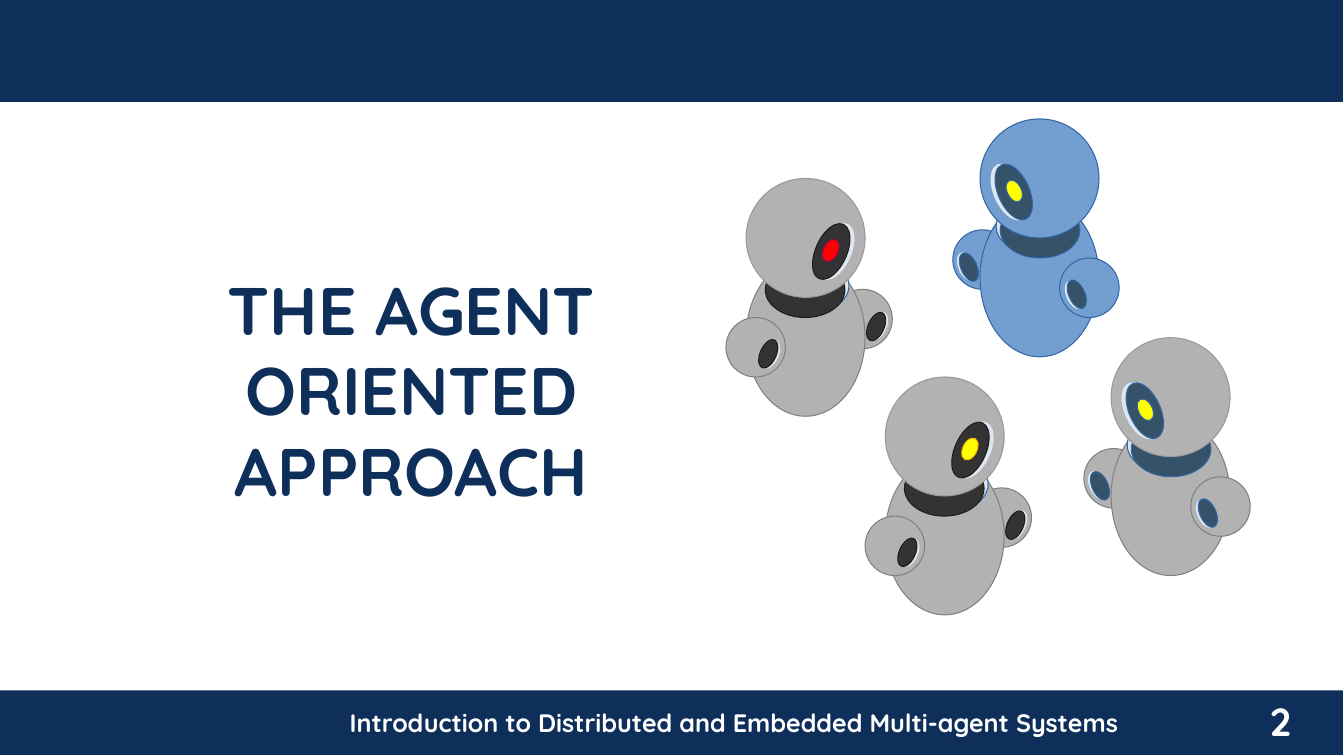
import pptx
import pptx.util
import pptx.dml.color
import pptx.enum.shapes
import pptx.enum.text

Inches = pptx.util.Inches
Pt = pptx.util.Pt
SHAPES = pptx.enum.shapes.MSO_SHAPE

COLORS = {
    "navy": "0F2F5B", "white": "FFFFFF", "glint": "DEE6EF",
    "blue": "729FCF", "blue edge": "3465A4", "slate": "355269",
    "grey": "B2B2B2", "grey edge": "808080", "grey head edge": "999999",
    "black": "333333", "black edge": "1C1C1C",
    "yellow": "FFFF00", "amber": "FFBF00", "red": "FF0000", "crimson": "BF0041",
}


def paint(shape, fill, edge=None):
    shape.shadow.inherit = False
    shape.fill.solid()
    shape.fill.fore_color.rgb = pptx.dml.color.RGBColor.from_string(COLORS[fill])
    if edge:
        shape.line.color.rgb = pptx.dml.color.RGBColor.from_string(COLORS[edge])
        shape.line.width = Pt(0)
    else:
        shape.line.fill.background()


def write(box, text, size, color):
    frame = box.text_frame
    frame.word_wrap = True
    frame.auto_size = pptx.enum.text.MSO_AUTO_SIZE.NONE
    frame.vertical_anchor = pptx.enum.text.MSO_ANCHOR.TOP
    frame.text = text
    paragraph = frame.paragraphs[0]
    paragraph.alignment = pptx.enum.text.PP_ALIGN.CENTER
    paragraph.line_spacing = 1.0
    paragraph.font.name = "Quicksand"
    paragraph.font.size = Pt(size)
    paragraph.font.bold = True
    paragraph.font.color.rgb = pptx.dml.color.RGBColor.from_string(COLORS[color])


deck = pptx.Presentation()
deck.slide_width = Inches(13.33)
deck.slide_height = Inches(7.5)
slide = deck.slides.add_slide(deck.slide_layouts[5])

for top, height in [(6.85, 0.64), (0, 1.01)]:
    band = slide.shapes.add_shape(
        SHAPES.RECTANGLE, Inches(0), Inches(top), Inches(13.32), Inches(height))
    paint(band, "navy")

course = slide.shapes.add_textbox(Inches(2.28), Inches(6.97), Inches(10), Inches(0.4))
write(course, "Introduction to Distributed and Embedded Multi-agent Systems", 18, "white")
page_number = slide.shapes.add_textbox(Inches(12.15), Inches(6.87), Inches(1.1), Inches(0.63))
write(page_number, "2", 28, "white")

title = slide.shapes.title
title.left, title.top = Inches(0.92), Inches(2.61)
title.width, title.height = Inches(6.32), Inches(2.5)
write(title, "THE AGENT ORIENTED APPROACH", 48, "navy")

ROBOT_WIDTH = 1.65
ROBOT_PARTS = [
    ("skin", 0, 1.1, 0.59, 0.59, 0),
    ("glint", 0.06, 1.32, 0.16, 0.29, 336),
    ("socket", 0.08, 1.32, 0.16, 0.3, 336),
    ("skin", 0.27, 0.79, 1.18, 1.57, 0),
    ("collar glint", 0.43, 0.79, 0.79, 0.55, 0),
    ("socket", 0.47, 0.83, 0.79, 0.55, 0),
    ("head", 0.27, 0, 1.18, 1.18, 0),
    ("glint", 0.41, 0.43, 0.31, 0.59, 336),
    ("socket", 0.45, 0.43, 0.31, 0.59, 336),
    ("skin", 1.06, 1.38, 0.59, 0.59, 0),
    ("glint", 1.13, 1.6, 0.16, 0.29, 336),
    ("socket", 1.15, 1.59, 0.16, 0.3, 336),
    ("pupil", 0.54, 0.6, 0.14, 0.23, 334),
]
blue_skin = ("blue", "blue edge")
grey_skin = ("grey", "grey edge")
grey_head = ("grey", "grey head edge")
slate_socket = ("slate", "blue edge")
black_socket = ("black", "black edge")
robots = [
    (9.45, 1.18, False, blue_skin, blue_skin, slate_socket, ("yellow", "blue edge")),
    (10.75, 3.35, False, grey_skin, grey_head, slate_socket, ("yellow", "blue edge")),
    (8.58, 3.74, True, grey_skin, grey_head, black_socket, ("yellow", "amber")),
    (7.2, 1.77, True, grey_skin, grey_head, black_socket, ("red", "crimson")),
]
for left, top, mirrored, skin, head, socket, pupil in robots:
    robot = slide.shapes.add_group_shape()
    finishes = {"skin": skin, "head": head, "socket": socket, "pupil": pupil,
                "glint": ("glint", "glint"), "collar glint": ("glint", "blue edge")}
    for part, x, y, width, height, angle in ROBOT_PARTS:
        if mirrored:
            x = ROBOT_WIDTH - x - width
            angle = -angle % 360
        ellipse = robot.shapes.add_shape(
            SHAPES.OVAL, Inches(left + x), Inches(top + y), Inches(width), Inches(height))
        ellipse.rotation = angle
        paint(ellipse, *finishes[part])

deck.save("out.pptx")
